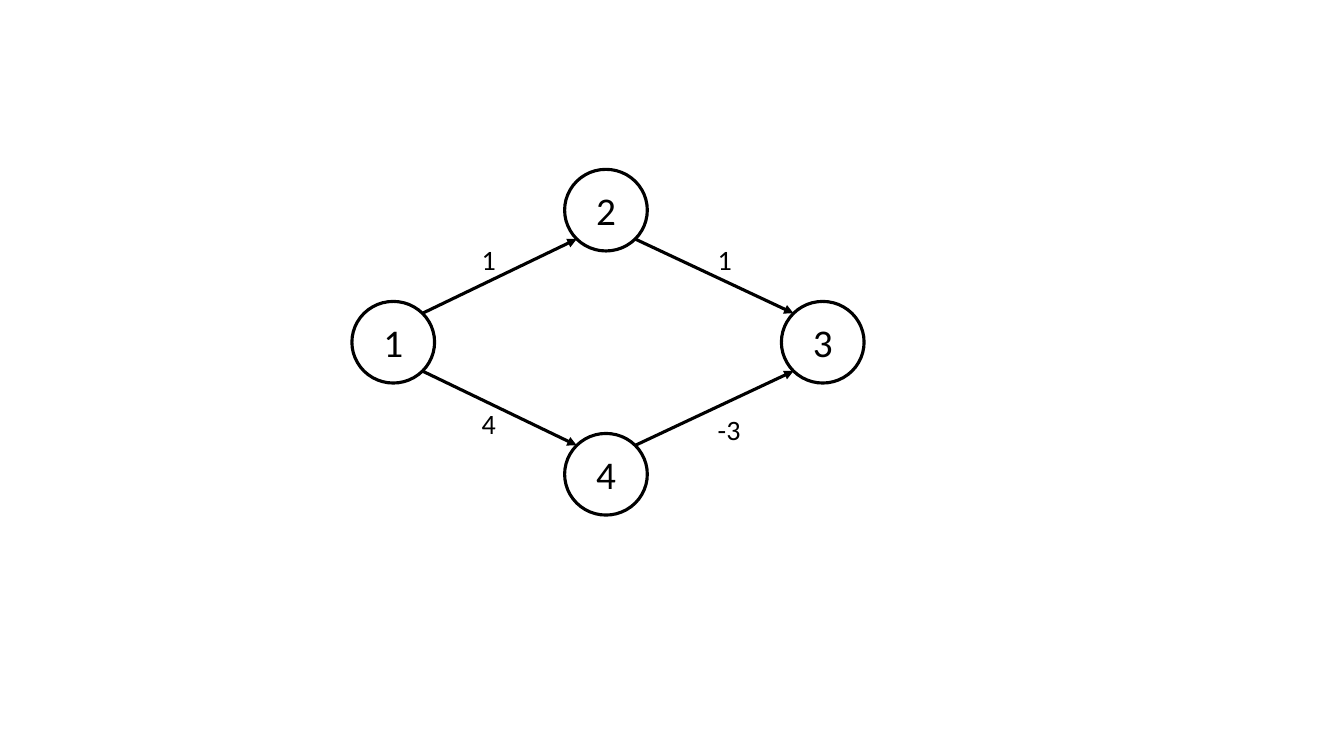
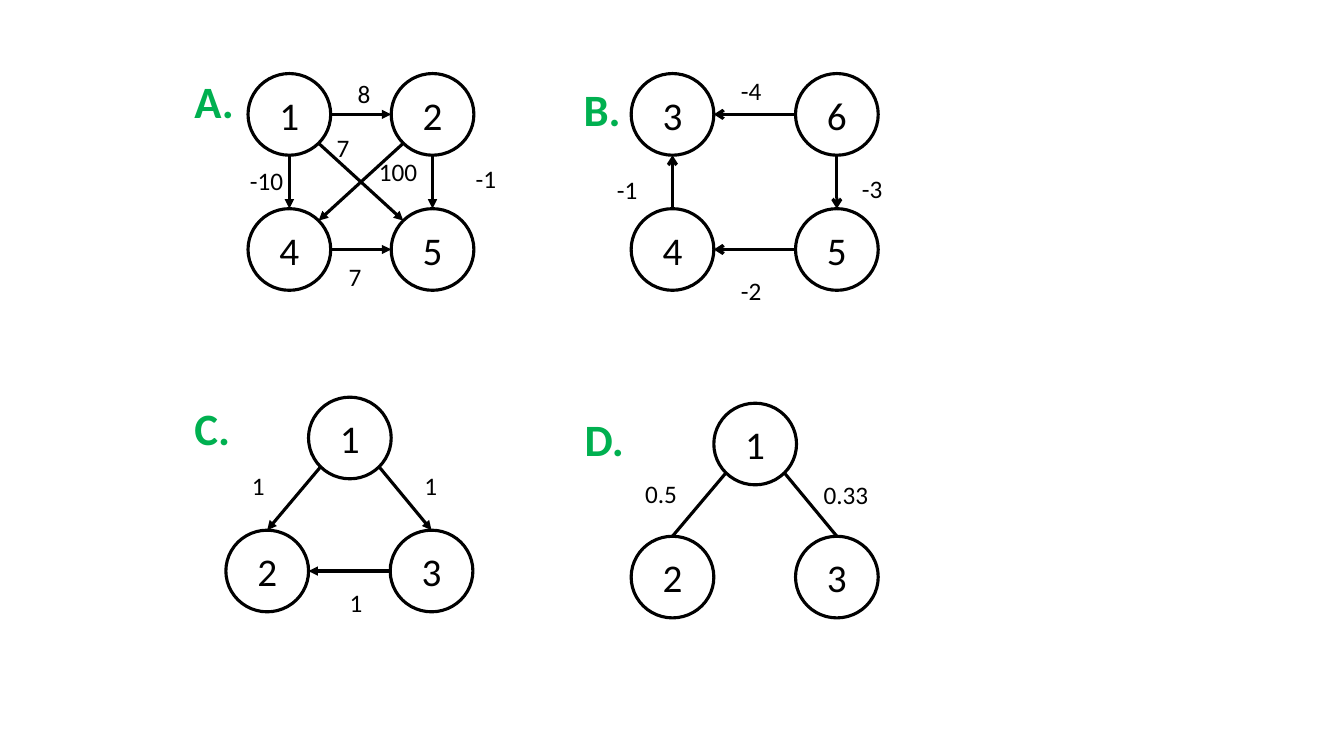
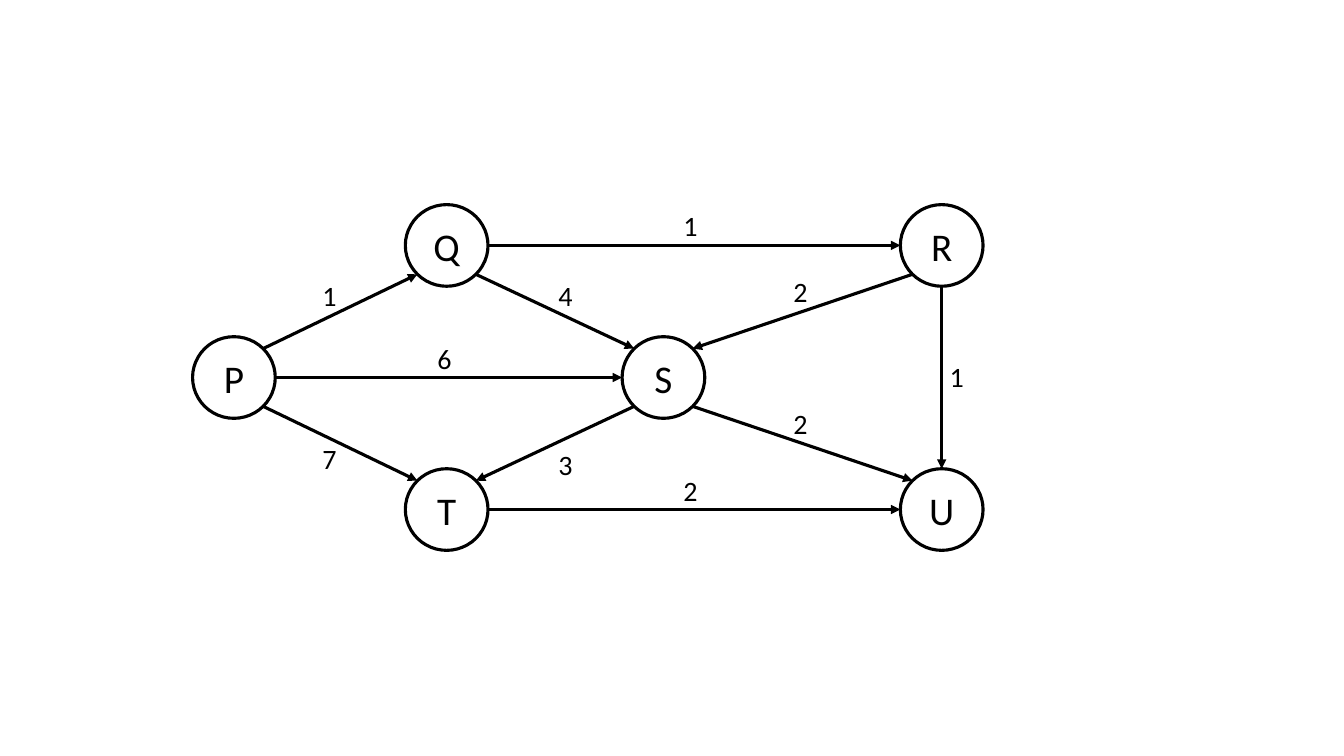
from dataclasses import dataclass
from math import hypot

from lxml.etree import SubElement
from pptx import Presentation
from pptx.dml.color import RGBColor
from pptx.enum.shapes import MSO_CONNECTOR as Connector, MSO_SHAPE as Preset
from pptx.enum.text import MSO_ANCHOR as Anchor, PP_ALIGN as Align
from pptx.oxml.ns import qn
from pptx.util import Inches, Pt


@dataclass(frozen=True)
class Theme:
    font: str = "Calibri"
    ink: str = "000000"
    accent: str = "00B050"
    node_size: int = 28
    weight_size: int = 20
    small_weight_size: int = 18
    option_size: int = 32
    line_width: float = 2.25
    node_width: float = 0.82
    node_height: float = 0.81


THEME = Theme()
SIDES = {
    "N": (0, -1), "NE": (1, -1), "E": (1, 0), "SE": (1, 1),
    "S": (0, 1), "SW": (-1, 1), "W": (-1, 0), "NW": (-1, -1),
}


def write(shape, text, size, color=THEME.ink, bold=False, align=Align.LEFT, anchor=Anchor.TOP):
    frame = shape.text_frame
    frame.word_wrap = True
    frame.vertical_anchor = anchor
    paragraph = frame.paragraphs[0]
    paragraph.alignment = align
    run = paragraph.add_run()
    run.text = text
    run.font.name = THEME.font
    run.font.size = Pt(size)
    run.font.bold = bold
    run.font.color.rgb = RGBColor.from_string(color)


def opposite(side):
    return side.translate(str.maketrans("NESW", "SWNE"))


def rim_point(corner, side):
    dx, dy = SIDES[side]
    length = hypot(dx, dy)
    return (
        corner[0] + THEME.node_width / 2 * (1 + dx / length),
        corner[1] + THEME.node_height / 2 * (1 + dy / length),
    )


def diamond(west, north, east, south, left, top):
    return {
        west: (left, top + 1.31),
        north: (left + 2.11, top),
        east: (left + 4.26, top + 1.31),
        south: (left + 2.11, top + 2.62),
    }


def square(names, left, top, column_step):
    return {
        name: (left + column_step * (index % 2), top + 1.34 * (index // 2))
        for index, name in enumerate(names)
    }


def triangle(left, top):
    return {
        "1": (left + 0.82, top),
        "2": (left, top + 1.32),
        "3": (left + 1.63, top + 1.32),
    }


class GraphDeck:
    def __init__(self):
        self.presentation = Presentation()
        self.presentation.slide_width = Inches(13.33)
        self.presentation.slide_height = Inches(7.5)
        self.slide = None

    def new_slide(self):
        self.slide = self.presentation.slides.add_slide(self.presentation.slide_layouts[6])

    def outline(self, line):
        line.color.rgb = RGBColor.from_string(THEME.ink)
        line.width = Pt(THEME.line_width)

    def node(self, name, left, top):
        shape = self.slide.shapes.add_shape(
            Preset.OVAL, Inches(left), Inches(top),
            Inches(THEME.node_width), Inches(THEME.node_height),
        )
        shape.shadow.inherit = False
        shape.fill.background()
        self.outline(shape.line)
        write(shape, name, THEME.node_size, align=Align.CENTER, anchor=Anchor.MIDDLE)

    def edge(self, start, end, arrowhead):
        connector = self.slide.shapes.add_connector(
            Connector.STRAIGHT, *(Inches(value) for value in (*start, *end))
        )
        self.outline(connector.line)
        if arrowhead:
            SubElement(connector.line._get_or_add_ln(), qn("a:tailEnd"), type=arrowhead)
        SubElement(connector._element.spPr, qn("a:effectLst"))

    def label(self, text, left, top, width=0.8, height=0.44, **style):
        box = self.slide.shapes.add_textbox(
            Inches(left), Inches(top), Inches(width), Inches(height)
        )
        write(box, text, **style)

    def option(self, text, left, top):
        self.label(text, left, top, height=0.64, size=THEME.option_size,
                   color=THEME.accent, bold=True)

    def graph(self, nodes, edges, arrowhead="triangle", size=THEME.weight_size):
        for name, corner in nodes.items():
            self.node(name, *corner)
        for source, target, sides, weight, left, top in edges:
            leaving, _, arriving = sides.partition(">")
            self.edge(
                rim_point(nodes[source], leaving),
                rim_point(nodes[target], arriving or opposite(leaving)),
                arrowhead,
            )
            self.label(weight, left, top, size=size)


def path_slide(deck):
    deck.new_slide()
    deck.graph(diamond("1", "2", "3", "4", 3.49, 1.68), [
        ("1", "2", "NE", "1", 4.68, 2.36),
        ("2", "3", "SE", "1", 7.02, 2.36),
        ("1", "4", "SE", "4", 4.68, 3.98),
        ("4", "3", "NE", "-3", 7.02, 4.04),
    ])


def options_slide(deck):
    deck.new_slide()
    small = THEME.small_weight_size
    deck.option("A.", 1.83, 0.68)
    deck.graph(square("1245", 2.46, 0.73, 1.42), [
        ("1", "2", "E", "8", 3.45, 0.73),
        ("1", "5", "SE", "7", 3.24, 1.26),
        ("2", "4", "SW", "100", 3.66, 1.5),
        ("1", "4", "S", "-10", 2.38, 1.59),
        ("2", "5", "S", "-1", 4.62, 1.57),
        ("4", "5", "E", "7", 3.36, 2.54),
    ], size=small)
    deck.option("B.", 5.69, 0.76)
    deck.graph(square("3645", 6.26, 0.73, 1.63), [
        ("6", "3", "W", "-4", 7.25, 0.7),
        ("6", "5", "S", "-3", 8.45, 1.67),
        ("5", "4", "W", "-2", 7.25, 2.68),
        ("4", "3", "N", "-1", 6.02, 1.68),
    ], arrowhead="arrow", size=small)
    deck.option("C.", 1.83, 3.93)
    deck.graph(triangle(2.24, 3.94), [
        ("1", "2", "SW>N", "1", 2.4, 4.62),
        ("1", "3", "SE>N", "1", 4.11, 4.62),
        ("3", "2", "W", "1", 3.37, 5.78),
    ], size=small)
    deck.option("D.", 5.7, 4.04)
    deck.graph(triangle(6.26, 4), [
        ("1", "2", "SW>N", "0.5", 6.3, 4.7),
        ("1", "3", "SE>N", "0.33", 8.07, 4.71),
    ], arrowhead=None, size=small)


def network_slide(deck):
    deck.new_slide()
    nodes = diamond("P", "Q", "S", "T", 1.91, 2.03)
    nodes.update({"R": (8.93, nodes["Q"][1]), "U": (8.93, nodes["T"][1])})
    deck.graph(nodes, [
        ("P", "Q", "NE", "1", 3.1, 2.71),
        ("Q", "S", "SE", "4", 5.44, 2.71),
        ("P", "T", "SE", "7", 3.1, 4.33),
        ("S", "T", "SW", "3", 5.44, 4.39),
        ("P", "S", "E", "6", 4.24, 3.34),
        ("Q", "R", "E", "1", 6.68, 2.02),
        ("R", "U", "S", "1", 9.32, 3.52),
        ("R", "S", "SW", "2", 7.77, 2.67),
        ("S", "U", "SE", "2", 7.77, 3.98),
        ("T", "U", "E", "2", 6.68, 4.65),
    ])


def main():
    deck = GraphDeck()
    path_slide(deck)
    options_slide(deck)
    network_slide(deck)
    deck.presentation.save("out.pptx")


if __name__ == "__main__":
    main()
